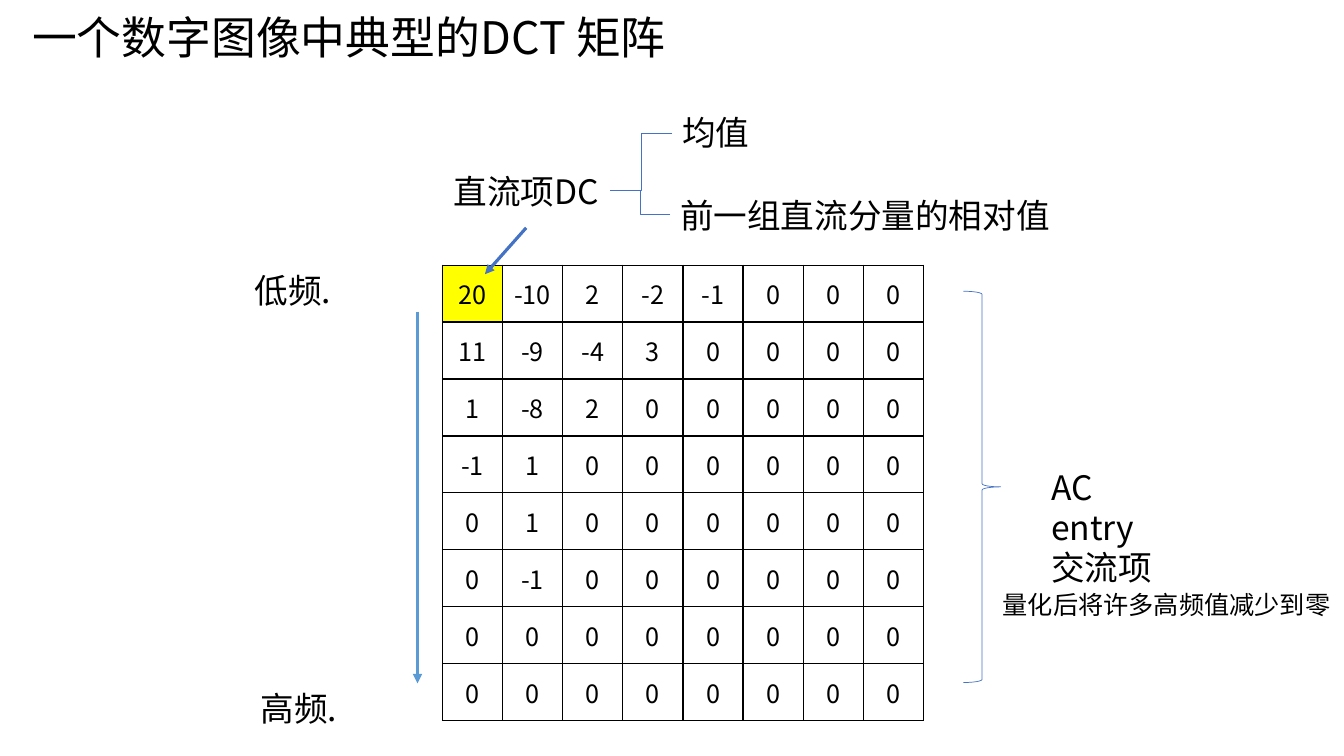
from dataclasses import dataclass

from lxml import etree
from pptx import Presentation
from pptx.dml.color import RGBColor
from pptx.enum import shapes, text
from pptx.oxml import ns
from pptx.util import Cm, Pt


@dataclass(frozen=True)
class Theme:
    font: str = "Noto Sans CJK SC"
    ink: str = "000000"
    highlight: str = "FFFF00"
    blue: str = "4472C4"
    light_blue: str = "5B9BD5"
    title: int = 32
    label: int = 24
    small: int = 18
    thin: float = 0.5
    border: float = 1
    thick: float = 2.25


THEME = Theme()
COEFFICIENTS = [
    [20, -10, 2, -2, -1, 0, 0, 0],
    [11, -9, -4, 3, 0, 0, 0, 0],
    [1, -8, 2, 0, 0, 0, 0, 0],
    [-1, 1, 0, 0, 0, 0, 0, 0],
    [0, 1, 0, 0, 0, 0, 0, 0],
    [0, -1, 0, 0, 0, 0, 0, 0],
    [0, 0, 0, 0, 0, 0, 0, 0],
    [0, 0, 0, 0, 0, 0, 0, 0],
]


def write(para, content, size=THEME.label, align=None):
    para.alignment = align
    span = para.add_run()
    span.text = content
    span.font.size = Pt(size)
    span.font.name = THEME.font
    span.font.color.rgb = RGBColor.from_string(THEME.ink)
    east_asian = etree.SubElement(span.font._element, ns.qn("a:ea"))
    east_asian.set("typeface", THEME.font)


def add_label(page, content, left, top, width, height, size=THEME.label, wrap=False):
    """Add a text box with one paragraph per line of content."""
    box = page.shapes.add_textbox(Cm(left), Cm(top), Cm(width), Cm(height))
    frame = box.text_frame
    frame.word_wrap = wrap
    frame.auto_size = text.MSO_AUTO_SIZE.SHAPE_TO_FIT_TEXT
    for index, line in enumerate(content.split("\n")):
        write(frame.add_paragraph() if index else frame.paragraphs[0], line, size)


def style_line(line, color, width):
    line.color.rgb = RGBColor.from_string(color)
    line.width = Pt(width)


def add_line(page, start, end, color=THEME.blue, width=THEME.thick,
             kind=shapes.MSO_CONNECTOR.STRAIGHT, arrow=True):
    points = [Cm(value) for value in (*start, *end)]
    connector = page.shapes.add_connector(kind, *points)
    style_line(connector.line, color, width)
    properties = connector._element.spPr
    if arrow:
        tail = etree.SubElement(properties.find(ns.qn("a:ln")), ns.qn("a:tailEnd"))
        tail.set("type", "triangle")
    etree.SubElement(properties, ns.qn("a:effectLst"))


def add_brace(page, left, top, width, height):
    brace = page.shapes.add_shape(shapes.MSO_SHAPE.RIGHT_BRACE,
                                  Cm(left), Cm(top), Cm(width), Cm(height))
    brace.shadow.inherit = False
    brace.fill.background()
    style_line(brace.line, THEME.blue, THEME.thin)


def add_borders(cell):
    properties = cell._tc.get_or_add_tcPr()
    for index, side in enumerate(("lnL", "lnR", "lnT", "lnB")):
        border = etree.Element(ns.qn(f"a:{side}"), w=str(Pt(THEME.border)))
        fill = etree.SubElement(border, ns.qn("a:solidFill"))
        etree.SubElement(fill, ns.qn("a:srgbClr"), val=THEME.ink)
        properties.insert(index, border)


def add_matrix(page, values, left, top, width, height):
    """Add a bordered grid of numbers with its first cell highlighted."""
    frame = page.shapes.add_table(len(values), len(values[0]),
                                  Cm(left), Cm(top), Cm(width), Cm(height))
    table = frame.table
    table.first_row = table.horz_banding = False
    for row, numbers in enumerate(values):
        for column, number in enumerate(numbers):
            cell = table.cell(row, column)
            cell.vertical_anchor = text.MSO_ANCHOR.MIDDLE
            write(cell.text_frame.paragraphs[0], str(number), THEME.small,
                  text.PP_ALIGN.CENTER)
            cell.fill.background()
            add_borders(cell)
    first = table.cell(0, 0)
    first.fill.solid()
    first.fill.fore_color.rgb = RGBColor.from_string(THEME.highlight)


def main():
    deck = Presentation()
    deck.slide_width, deck.slide_height = Cm(33.87), Cm(19.05)
    page = deck.slides.add_slide(deck.slide_layouts[6])

    add_label(page, "一个数字图像中典型的DCT 矩阵", 0.56, 0.13, 16.59, 1.63,
              size=THEME.title, wrap=True)
    add_matrix(page, COEFFICIENTS, 11.15, 6.68, 12.12, 11.48)

    add_line(page, (10.52, 7.85), (10.52, 17.22), color=THEME.light_blue)
    add_label(page, "高频.", 6.32, 17.22, 2.41, 1.27)
    add_label(page, "低频.", 6.17, 6.68, 2.41, 1.27)

    add_label(page, "直流项DC", 11.18, 4.17, 4.19, 1.27, wrap=True)
    add_line(page, (13.26, 5.74), (12.22, 6.91))

    add_label(page, "AC entry\n交流项", 26.24, 11.63, 3.71, 2.31, wrap=True)
    add_brace(page, 24.28, 7.34, 0.94, 9.86)

    add_label(page, "均值", 16.94, 2.69, 2.24, 1.27)
    add_label(page, "前一组直流分量的相对值", 16.89, 4.78, 14.05, 1.27, wrap=True)
    for branch in ((16.94, 3.35), (16.89, 5.41)):
        add_line(page, branch, (15.37, 4.8), width=THEME.thin,
                 kind=shapes.MSO_CONNECTOR.ELBOW, arrow=False)

    add_label(page, "量化后将许多高频值减少到零", 25.02, 14.73, 8.84, 1.02,
              size=THEME.small)

    deck.save("out.pptx")


if __name__ == "__main__":
    main()
